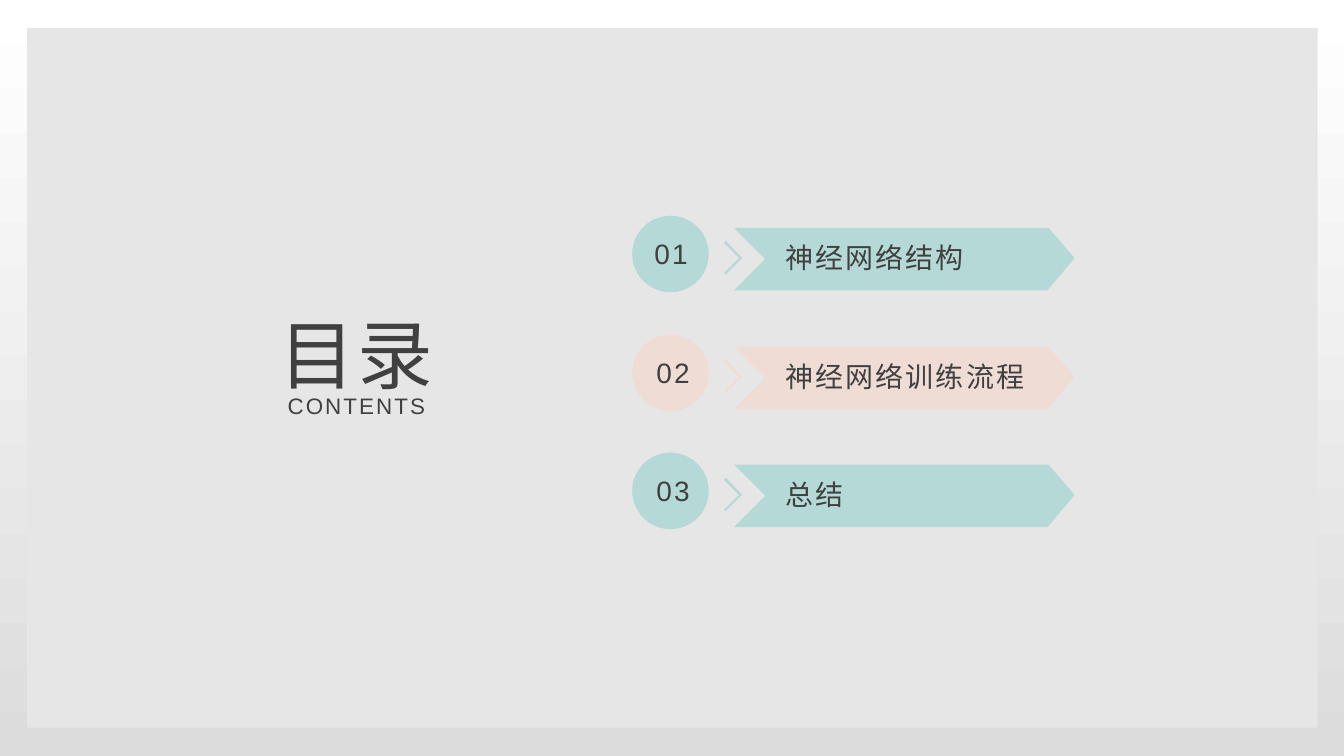
from pptx import Presentation
from pptx.dml.color import RGBColor
from pptx.enum import shapes, text
from pptx.util import Inches, Pt

INK = "404040"
PANEL = "E7E6E6"
MINT = "B5D9D6"
BLUSH = "EFDCD5"

# number, number's left, heading, colour, top of the circle
ENTRIES = [
    ("01", 6.32, "神经网络结构", MINT, 2.14),
    ("02", 6.34, "神经网络训练流程", BLUSH, 3.32),
    ("03", 6.34, "总结", MINT, 4.49),
]
# x on the slide, y from the top of the circle
CHEVRON = [(7.2, 0.58), (7.18, 0.57), (7.33, 0.42), (7.18, 0.27),
           (7.2, 0.25), (7.36, 0.42), (7.35, 0.43)]
BANNER = [(7.28, 0.12), (10.4, 0.12), (10.65, 0.41), (10.65, 0.43),
          (10.39, 0.74), (7.28, 0.74), (7.59, 0.43)]


def color(value):
    return RGBColor.from_string(value)


def paint(sp, fill):
    """Give a shape a flat fill with no line or shadow."""
    sp.fill.solid()
    sp.fill.fore_color.rgb = color(fill)
    sp.line.fill.background()
    sp.shadow.inherit = False


def add_shape(s, kind, x, y, w, h, fill):
    sp = s.shapes.add_shape(kind, Inches(x), Inches(y), Inches(w), Inches(h))
    paint(sp, fill)
    return sp


def add_outline(s, points, top, fill):
    corners = [(Inches(x), Inches(top + y)) for x, y in points]
    builder = s.shapes.build_freeform(*corners[0])
    builder.add_line_segments(corners[1:], close=True)
    paint(builder.convert_to_shape(), fill)


def write(sp, words, size, align):
    tf = sp.text_frame
    tf.word_wrap = True
    tf.auto_size = text.MSO_AUTO_SIZE.NONE
    tf.vertical_anchor = text.MSO_ANCHOR.TOP
    p = tf.paragraphs[0]
    p.alignment = align
    r = p.add_run()
    r.text = words
    r.font.name = "Arial"
    r.font.size = Pt(size)
    r.font.color.rgb = color(INK)
    r._r.get_or_add_rPr().set("spc", "150")  # letter spacing of 1.5 pt


def add_text(s, words, x, y, w, h, size, align=text.PP_ALIGN.CENTER):
    sp = s.shapes.add_textbox(Inches(x), Inches(y), Inches(w), Inches(h))
    write(sp, words, size, align)


def set_background(s):
    fill = s.background.fill
    fill.gradient()
    fill.gradient_angle = 270
    for stop, value in zip(fill.gradient_stops, ("FFFFFF", "DCDCDC")):
        stop.color.rgb = color(value)


def add_panel(s):
    panel = add_shape(s, shapes.MSO_SHAPE.RECTANGLE,
                      0.27, 0.28, 12.8, 6.94, PANEL)
    s.shapes._spTree.insert(2, panel._element)  # behind the title


def set_title(s, words):
    title = s.shapes.title
    title.left, title.top = Inches(2.51), Inches(3)
    title.width, title.height = Inches(2.05), Inches(1.01)
    write(title, words, 54, text.PP_ALIGN.CENTER)


def add_entry(s, number, number_left, heading, fill, top):
    add_shape(s, shapes.MSO_SHAPE.OVAL, 6.27, top, 0.76, 0.76, fill)
    add_outline(s, CHEVRON, top, fill)
    add_outline(s, BANNER, top, fill)
    add_text(s, heading, 7.69, top + 0.2, 2.6, 0.44, 20, text.PP_ALIGN.LEFT)
    add_text(s, number, number_left, top + 0.16, 0.67, 0.44, 20)


def main():
    prs = Presentation()
    prs.slide_width, prs.slide_height = Inches(13.33), Inches(7.5)
    s = prs.slides.add_slide(prs.slide_layouts[5])
    set_background(s)
    add_panel(s)
    set_title(s, "目录")
    add_text(s, "CONTENTS", 2.51, 3.84, 2.05, 0.37, 16)
    for entry in ENTRIES:
        add_entry(s, *entry)
    prs.save("out.pptx")


if __name__ == "__main__":
    main()
